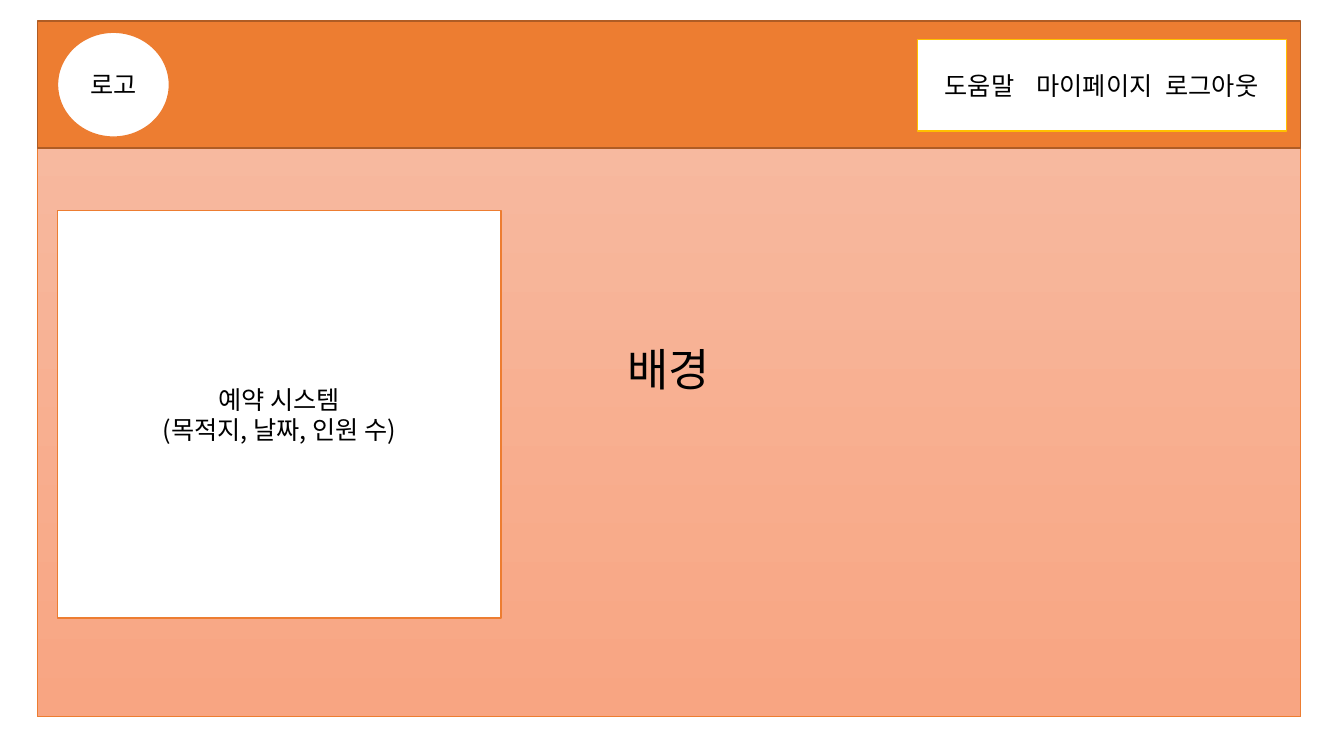
from pptx import Presentation, util as u
from pptx.dml.color import RGBColor
from pptx.enum import shapes, text
from pptx.oxml.ns import qn
from lxml import etree

WHITE = RGBColor(0xFF, 0xFF, 0xFF)
BLACK = RGBColor(0, 0, 0)
ORANGE = RGBColor(0xED, 0x7D, 0x31)
BROWN = RGBColor(0xAF, 0x5C, 0x24)
GOLD = RGBColor(0xFF, 0xC0, 0x00)
PALE = RGBColor(0xF7, 0xBD, 0xA5)
CORAL = RGBColor(0xF8, 0xA5, 0x82)
FONT = "Noto Sans CJK KR"
RECT = shapes.MSO_SHAPE.RECTANGLE
OVAL = shapes.MSO_SHAPE.OVAL
W, H = 13.33, 7.5


def put(slide, box, fill, line, kind=RECT, width=1):
    """Draw a shape; a pair of fill colours makes a vertical gradient."""
    shape = slide.shapes.add_shape(kind, *(u.Inches(v) for v in box))
    shape.shadow.inherit = False
    if isinstance(fill, list):
        shape.fill.gradient()
        shape.fill.gradient_angle = 270
        for stop, tone in zip(shape.fill.gradient_stops, fill):
            stop.color.rgb = tone
    else:
        shape.fill.solid()
        shape.fill.fore_color.rgb = fill
    shape.line.color.rgb = line
    shape.line.width = u.Pt(width)
    return shape


def write(shape, *lines, size=18, color=BLACK, tabs=(), left=0.1):
    """Write centred lines, or left-aligned ones when tab stops are given."""
    frame = shape.text_frame
    frame.word_wrap = True
    frame.vertical_anchor = text.MSO_ANCHOR.MIDDLE
    frame.margin_left = u.Inches(left)
    frame.text = "\n".join(lines)
    for para in frame.paragraphs:
        para.alignment = text.PP_ALIGN.LEFT if tabs else text.PP_ALIGN.CENTER
        if tabs:
            stops = etree.SubElement(para._p.get_or_add_pPr(), qn("a:tabLst"))
            for pos in tabs:
                etree.SubElement(stops, qn("a:tab"),
                                 pos=str(u.Inches(pos)), algn="l")
        for run in para.runs:
            run.font.size = u.Pt(size)
            run.font.color.rgb = color
            run.font.name = FONT
            east = etree.SubElement(run._r.get_or_add_rPr(), qn("a:ea"))
            east.set("typeface", FONT)


def page(slide, box):
    """Background panel with its label."""
    write(put(slide, box, [PALE, CORAL], ORANGE, width=0.5), "배경", size=32)


def header(slide, box):
    """Top bar with the logo spot and the menu."""
    x, y, w, h = box
    put(slide, box, ORANGE, BROWN)
    logo = put(slide, (x + 0.2, y + 0.11, 1.11, 1.04), WHITE, ORANGE, OVAL)
    write(logo, "로고")
    menu = put(slide, (x + w - 3.8, y + 0.18, 3.66, 0.91), WHITE, GOLD)
    write(menu, "도움말\t마이페이지\t로그아웃", tabs=(0.91, 2.19), left=0.27)


def booking(slide, box):
    """Reservation panel."""
    write(put(slide, box, WHITE, ORANGE), "예약 시스템", "(목적지, 날짜, 인원 수)")


def main():
    deck = Presentation()
    deck.slide_width, deck.slide_height = u.Inches(W), u.Inches(H)
    slide = deck.slides.add_slide(deck.slide_layouts[6])
    x, y, w, h = 0.37, 0.21, 12.53, 6.9
    page(slide, (x, y, w, h))
    header(slide, (x, y, w, 1.26))
    booking(slide, (x + 0.2, y + 1.88, 4.4, 4.04))
    deck.save("out.pptx")


if __name__ == "__main__":
    main()
